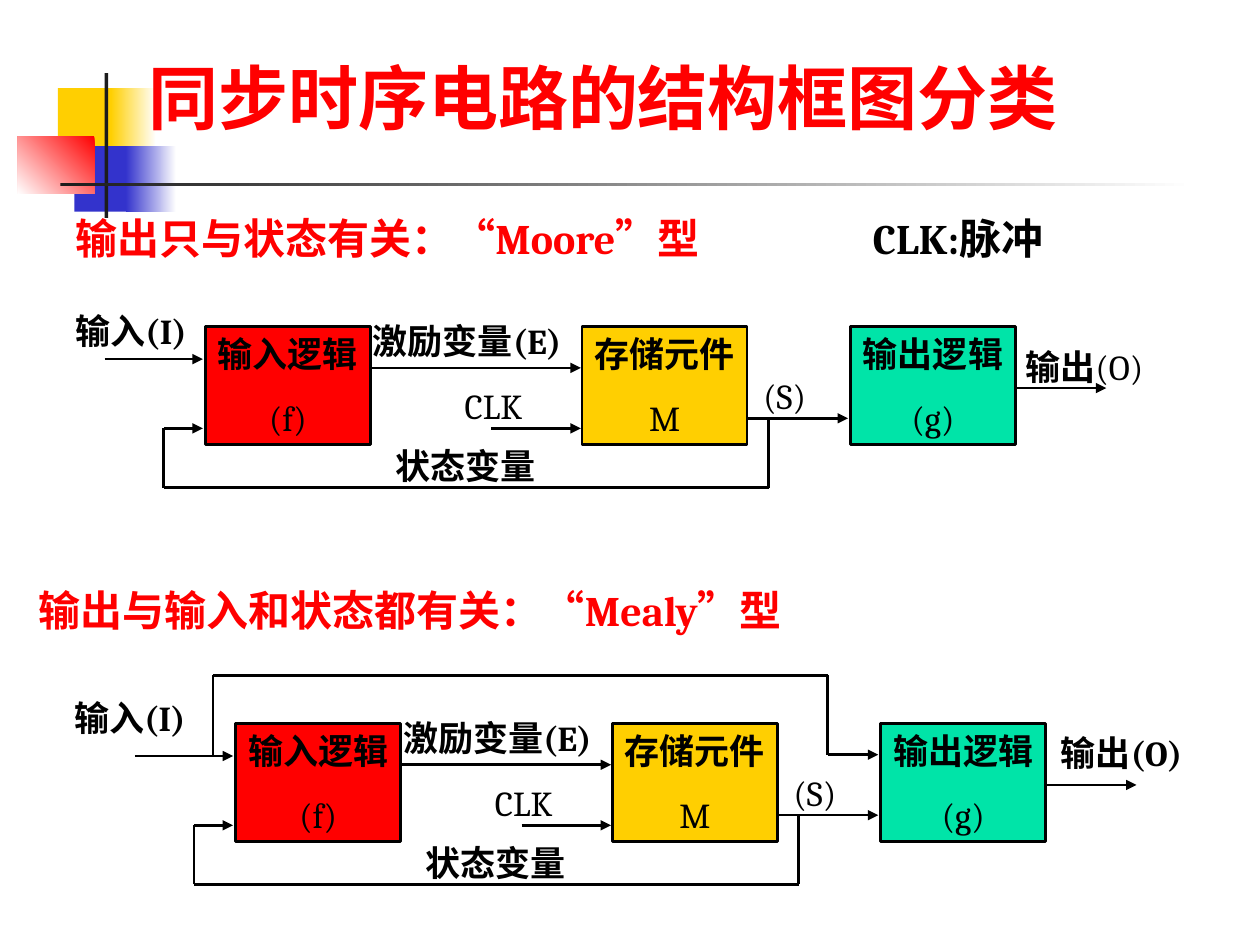
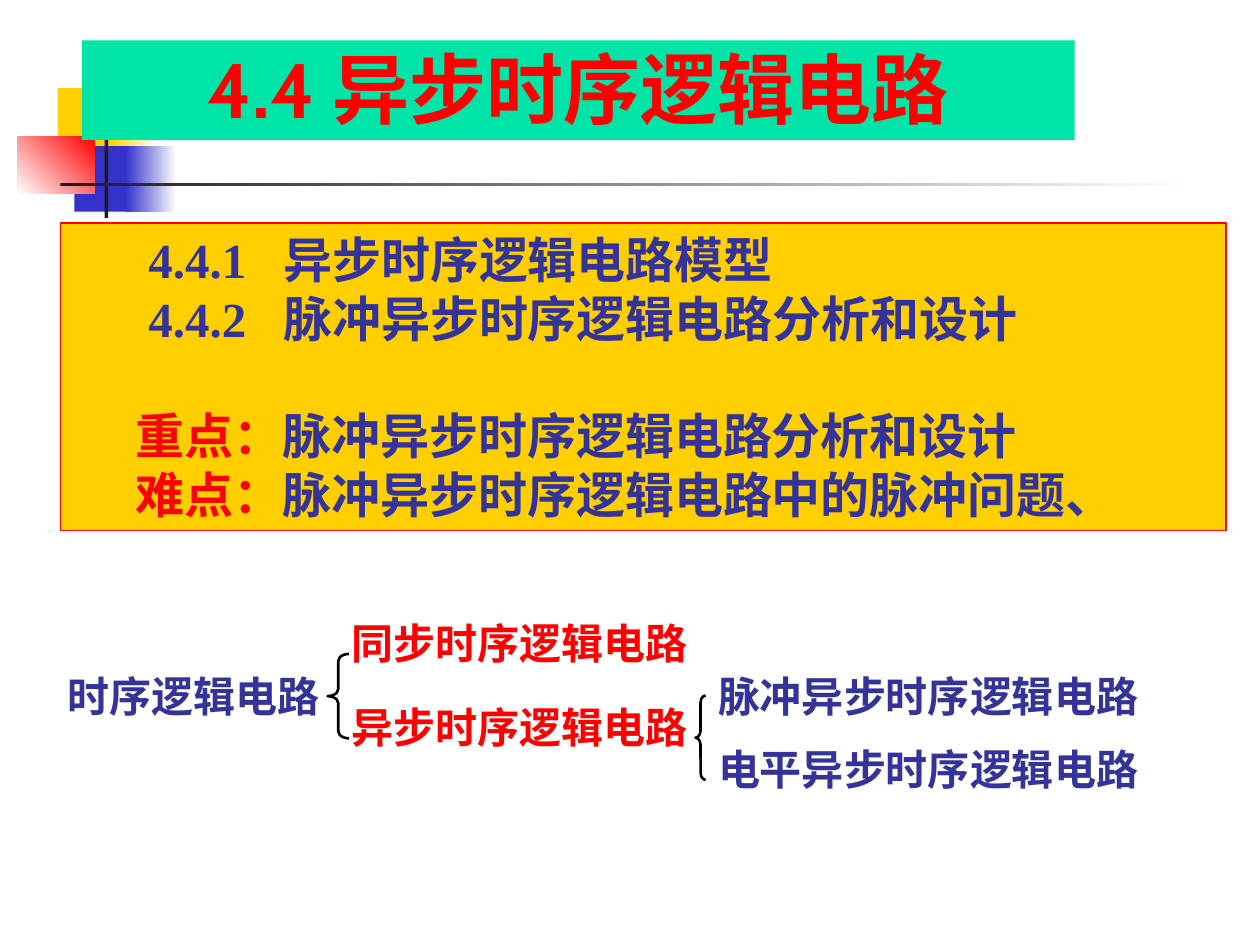
import lxml.etree
import pptx
import pptx.dml.color
import pptx.enum.shapes
import pptx.enum.text
import pptx.oxml.ns
import pptx.util

SCALE = 9144  # EMU per px, 100 px to the inch
COLORS = {"red": "FF0000", "yellow": "FFCF01", "blue": "3333CC", "navy": "333399",
          "green": "00E4A8", "ink": "1C1C1C", "black": "000000", "white": "FFFFFF"}
SHAPE = pptx.enum.shapes.MSO_SHAPE
ALIGN = pptx.enum.text.PP_ALIGN
ANCHOR = pptx.enum.text.MSO_ANCHOR
AUTO = pptx.enum.text.MSO_AUTO_SIZE


def px(n):
    return pptx.util.Emu(round(n * SCALE))


def rgb(name):
    return pptx.dml.color.RGBColor.from_string(COLORS[name])


def sub(parent, tag, **attrs):
    return lxml.etree.SubElement(parent, pptx.oxml.ns.qn(tag), attrs)


def write(p, text, font="Cambria", size=20, color="black", bold=True):
    r = p.add_run()
    r.text = text
    r.font.name = font
    r.font.size = pptx.util.Pt(size)
    r.font.color.rgb = rgb(color)
    r.font.bold = bold


def set_text(tf, paragraphs, align=ALIGN.LEFT, anchor=ANCHOR.TOP, wrap=False,
             grow=True, before=0, tab=None, **style):
    """Fill a text frame; each paragraph is a string or a list of (text, style changes)."""
    tf.word_wrap = wrap
    tf.vertical_anchor = anchor
    tf.auto_size = AUTO.SHAPE_TO_FIT_TEXT if grow else AUTO.NONE
    for i, runs in enumerate(paragraphs):
        p = tf.paragraphs[0] if i == 0 else tf.add_paragraph()
        p.alignment = align
        if i and before:
            p.space_before = pptx.util.Pt(before)
        if tab:
            tabs = sub(p._p.get_or_add_pPr(), "a:tabLst")
            sub(tabs, "a:tab", pos=str(px(tab)), algn="l")
        for text, changes in [(runs, {})] if isinstance(runs, str) else runs:
            write(p, text, **{**style, **changes})


class Deck:
    def __init__(self):
        self.prs = pptx.Presentation()
        self.prs.slide_width, self.prs.slide_height = px(1000), px(750)
        self.s = None

    def new_slide(self):
        """Add a blank slide with the shared corner squares and rules."""
        self.s = self.prs.slides.add_slide(self.prs.slide_layouts[6])
        self.box(46, 70, 48, 52, "yellow")
        self.box(88, 70, 36, 52, "yellow", fade=0)
        self.box(59, 116, 46, 52, "blue")
        self.box(100, 116, 40, 52, "blue", fade=0)
        self.box(14, 108, 61, 46, "red", fade=135)
        self.box(83, 58, 3, 115, "ink")
        self.box(48, 145, 900, 3, "ink", fade=0)

    def box(self, x, y, w, h, fill=None, line=None, weight=1.5, fade=None,
            kind=SHAPE.RECTANGLE):
        """Preset shape; fade is the clockwise angle of a gradient to white."""
        sp = self.s.shapes.add_shape(kind, px(x), px(y), px(w), px(h))
        sp.shadow.inherit = False
        if fade is not None:
            sp.fill.gradient()
            sp.fill.gradient_angle = (360 - fade) % 360
            for stop, color in zip(sp.fill.gradient_stops, (fill, "white")):
                stop.color.rgb = rgb(color)
        elif fill:
            sp.fill.solid()
            sp.fill.fore_color.rgb = rgb(fill)
        else:
            sp.fill.background()
        if line:
            sp.line.color.rgb = rgb(line)
            sp.line.width = pptx.util.Pt(weight)
        else:
            sp.line.fill.background()
        return sp

    def label(self, x, y, w, *paragraphs, h=44, **style):
        sp = self.s.shapes.add_textbox(px(x), px(y), px(w), px(h))
        set_text(sp.text_frame, paragraphs, **style)

    def block(self, x, y, fill, name, symbol):
        sp = self.box(x, y, 131, 94, fill, line="black")
        set_text(sp.text_frame, [name, [(symbol, {"bold": False})]],
                 align=ALIGN.CENTER, before=12.5)

    def wire(self, *points, arrow=True):
        """Straight segments through the points, with an arrowhead at the last."""
        for start, end in zip(points, points[1:]):
            c = self.s.shapes.add_connector(
                pptx.enum.shapes.MSO_CONNECTOR.STRAIGHT, *map(px, start + end))
            c.line.color.rgb = rgb("black")
            c.line.width = pptx.util.Pt(1.5)
            if arrow and end == points[-1]:
                sub(c.line._get_or_add_ln(), "a:tailEnd", type="triangle")
            sub(c._element.spPr, "a:effectLst")

    def brace(self, x, y, w):
        sp = self.box(x, y, w, 67, line="black", kind=SHAPE.LEFT_BRACE)
        sp.adjustments[0] = 5.6 / w

    def circuit(self, dx, dy):
        """Blocks, wires and labels that the Moore and Mealy machines share."""
        for x, fill, name, symbol in ((163, "red", "输入逻辑", "(f)"),
                                      (462, "yellow", "存储元件", "M"),
                                      (675, "green", "输出逻辑", "(g)")):
            self.block(x + dx, 259 + dy, fill, name, symbol)
        for points in (((83, 285), (161, 285)),
                       ((295, 292), (461, 292)),
                       ((390, 340), (461, 340)),
                       ((594, 332), (673, 332)),
                       ((807, 308), (878, 308)),
                       ((610, 332), (610, 387), (130, 387), (130, 340), (161, 340))):
            self.wire(*((x + dx, y + dy) for x, y in points))
        for x, y, w, text, bold in ((286, 249, 179, "激励变量(E)", True),
                                    (359, 300, 74, "CLK", False),
                                    (596, 292, 54, "(S)", False),
                                    (304, 348, 131, "状态变量", True)):
            self.label(x + dx, y + dy, w, text, bold=bold)


def machine_types(deck):
    deck.new_slide()
    deck.label(108, 25, 852, "同步时序电路的结构框图分类", h=90, font="Cabin", size=40,
               color="red", anchor=ANCHOR.BOTTOM, wrap=True, grow=False)

    deck.label(50, 164, 874, [("输出只与状态有关：“Moore”型\t", {}),
                              ("CLK:脉冲", {"color": "black"})],
               h=50, size=24, color="red", wrap=True, tab=633)
    deck.circuit(0, 0)
    deck.label(50, 241, 116, "输入(I)")
    deck.label(804, 269, 124, [("输出", {}), ("(O)", {"bold": False})])

    deck.label(21, 459, 639, "输出与输入和状态都有关：“Mealy”型",
               h=50, size=24, color="red")
    deck.circuit(24, 315)
    deck.label(49, 548, 116, "输入(I)")
    deck.label(832, 576, 126, "输出(O)")
    deck.wire((169, 599), (169, 536), (657, 536), (657, 599), (697, 599))


def asynchronous_circuits(deck):
    deck.new_slide()
    title = deck.box(65, 32, 788, 79, "green")
    set_text(title.text_frame, ["4.4 异步时序逻辑电路"], font="Cabin", size=44, color="red",
             align=ALIGN.CENTER, anchor=ANCHOR.BOTTOM, wrap=True, grow=False)

    outline = deck.box(48, 177, 925, 244, "yellow", line="red", weight=1)
    red = {"color": "red"}
    set_text(outline.text_frame,
             ["4.4.1\t异步时序逻辑电路模型",
              "4.4.2\t脉冲异步时序逻辑电路分析和设计",
              [("重点：", red), ("脉冲异步时序逻辑电路分析和设计", {})],
              [("难点：", red), ("脉冲异步时序逻辑电路中的脉冲问题、", {})]],
             font="Times New Roman", size=28, color="navy", wrap=True)
    paragraphs = outline.text_frame.paragraphs
    for p, start in zip(paragraphs, (60, 60, 50, 50)):
        pPr = p._p.get_or_add_pPr()
        pPr.set("marL", str(px(167)))
        pPr.set("indent", str(px(start - 167)))
    paragraphs[2].space_before = pptx.util.Pt(33.5)

    for x, y, w, text, color in ((44, 527, 225, "时序逻辑电路", "navy"),
                                 (269, 485, 292, "同步时序逻辑电路", "red"),
                                 (269, 552, 292, "异步时序逻辑电路", "red"),
                                 (560, 527, 375, "脉冲异步时序逻辑电路", "navy"),
                                 (560, 585, 375, "电平异步时序逻辑电路", "navy")):
        deck.label(x, y, w, text, h=50, size=24, color=color, wrap=True)
    deck.brace(260, 519, 17)
    deck.brace(552, 552, 8)


def main():
    deck = Deck()
    machine_types(deck)
    asynchronous_circuits(deck)
    deck.prs.save("out.pptx")


if __name__ == "__main__":
    main()
